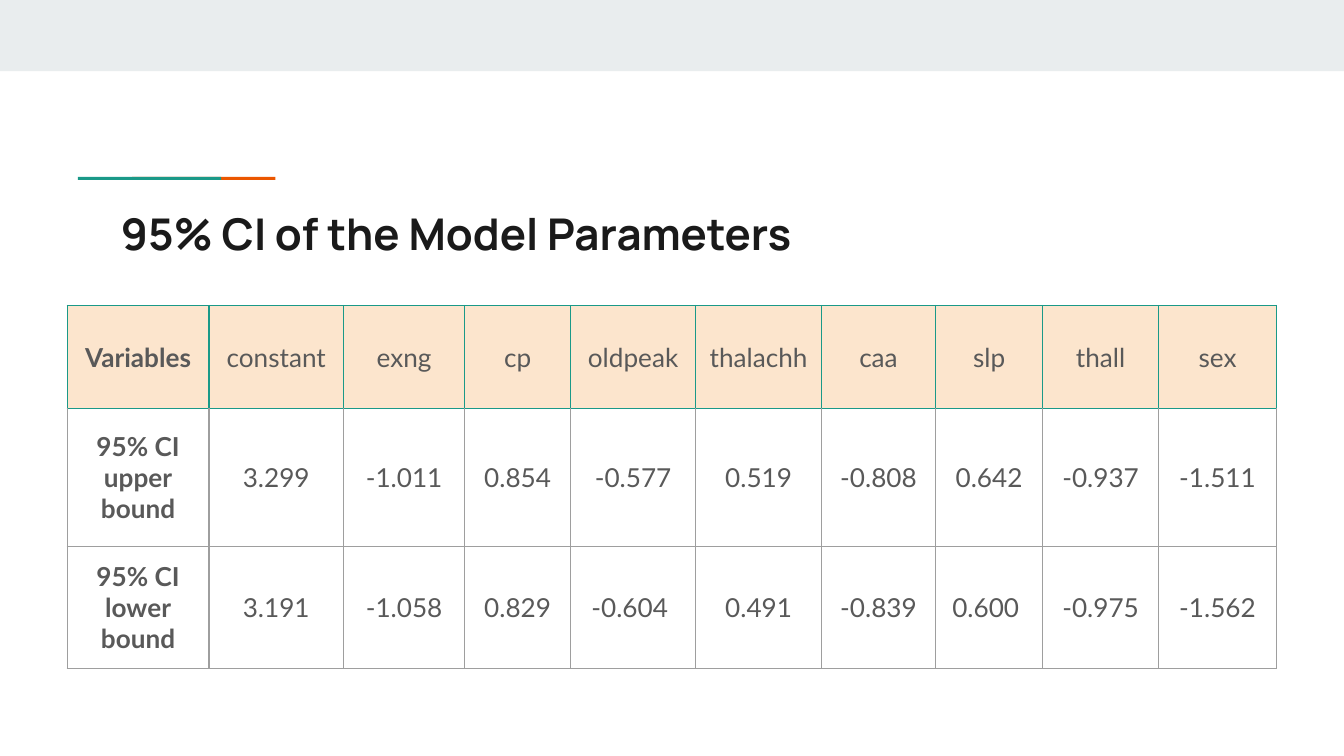
from dataclasses import dataclass
from typing import Any

import pptx
import pptx.dml.color
import pptx.enum.shapes
import pptx.enum.text
import pptx.oxml
import pptx.oxml.ns
import pptx.util

Pt = pptx.util.Pt
RGBColor = pptx.dml.color.RGBColor
PP_ALIGN = pptx.enum.text.PP_ALIGN
MSO_ANCHOR = pptx.enum.text.MSO_ANCHOR

BAND_GREY = RGBColor(0xE9, 0xED, 0xEE)
ORANGE = RGBColor(0xEB, 0x56, 0x00)
TEAL = RGBColor(0x1A, 0x99, 0x88)
TITLE_BLACK = RGBColor(0x1A, 0x1A, 0x1A)
TEXT_GREY = RGBColor(0x59, 0x59, 0x59)
BORDER_GREY = RGBColor(0x9E, 0x9E, 0x9E)
HEADER_PEACH = RGBColor(0xFC, 0xE5, 0xCD)

INSET = Pt(7.2)
MARGINS = {f"margin_{side}": INSET for side in ("left", "top", "right", "bottom")}
TITLE_BOX = {"left": Pt(57.6), "top": Pt(103.7), "width": Pt(605.5), "height": Pt(42.5)}
TITLE_FRAME = {
    **MARGINS,
    "word_wrap": True,
    "auto_size": pptx.enum.text.MSO_AUTO_SIZE.NONE,
    "vertical_anchor": MSO_ANCHOR.MIDDLE,
}
TITLE_FONT = {"name": "Manrope", "size": Pt(23.4), "bold": True}
CELL_FRAME = {**MARGINS, "vertical_anchor": MSO_ANCHOR.MIDDLE}
CELL_FONT = {"name": "Lato", "size": Pt(14)}
PLAIN_TABLE = {"first_row": False, "horz_banding": False}


@dataclass(frozen=True)
class Bar:
    left: float
    top: float
    width: float
    height: float
    color: RGBColor


@dataclass(frozen=True)
class TableRow:
    label: str
    values: list[str]
    height: float
    top_border: RGBColor
    border: RGBColor
    fill: RGBColor | None = None


BARS = [
    Bar(0, 0, 720, 38.2, BAND_GREY),
    Bar(70.8, 94.8, 76.7, 1.6, ORANGE),
    Bar(41.8, 94.8, 76.7, 1.6, TEAL),
]
COLUMN_WIDTHS = [76, 72, 65, 56.7, 67, 67.5, 61, 57.5, 62, 63.3]
ROWS = [
    TableRow(
        "Variables",
        ["constant", "exng", "cp", "oldpeak", "thalachh", "caa", "slp", "thall", "sex"],
        55.2, TEAL, TEAL, HEADER_PEACH,
    ),
    TableRow(
        "95% CI upper\nbound",
        ["3.299", "-1.011", "0.854", "-0.577", "0.519", "-0.808", "0.642", "-0.937", "-1.511"],
        73.8, TEAL, BORDER_GREY,
    ),
    TableRow(
        "95% CI lower\nbound",
        ["3.191", "-1.058", "0.829", "-0.604 ", "0.491", "-0.839", "0.600 ", "-0.975", "-1.562"],
        65.5, BORDER_GREY, BORDER_GREY,
    ),
]


def apply_format(target: Any, values: dict[str, Any]) -> None:
    for name, value in values.items():
        setattr(target, name, value)


def draw_bar(slide: Any, bar: Bar) -> None:
    strip = slide.shapes.add_shape(
        pptx.enum.shapes.MSO_SHAPE.RECTANGLE,
        Pt(bar.left), Pt(bar.top), Pt(bar.width), Pt(bar.height),
    )
    strip.shadow.inherit = False
    strip.fill.solid()
    strip.fill.fore_color.rgb = bar.color
    strip.line.fill.background()


def write_title(slide: Any, wording: str) -> None:
    title = slide.shapes.title
    apply_format(title, TITLE_BOX)
    apply_format(title.text_frame, TITLE_FRAME)
    title.text_frame.text = wording
    heading = title.text_frame.paragraphs[0]
    heading.alignment = PP_ALIGN.LEFT
    apply_format(heading.runs[0].font, TITLE_FONT)
    heading.runs[0].font.color.rgb = TITLE_BLACK


def draw_borders(cell: Any, row: TableRow) -> None:
    properties = cell._tc.get_or_add_tcPr()
    edges = {"lnL": row.border, "lnR": row.border, "lnT": row.top_border, "lnB": row.border}
    for position, (edge, color) in enumerate(edges.items()):
        border = pptx.oxml.parse_xml(
            f'<a:{edge} {pptx.oxml.ns.nsdecls("a")} w="{Pt(0.75)}">'
            f'<a:solidFill><a:srgbClr val="{color}"/></a:solidFill></a:{edge}>'
        )
        properties.insert(position, border)


def fill_cell(cell: Any, wording: str, row: TableRow, bold: bool) -> None:
    apply_format(cell, CELL_FRAME)
    cell.text_frame.text = wording
    for paragraph in cell.text_frame.paragraphs:
        paragraph.alignment = PP_ALIGN.CENTER
        for run in paragraph.runs:
            apply_format(run.font, {**CELL_FONT, "bold": bold})
            run.font.color.rgb = TEXT_GREY
    if row.fill is None:
        cell.fill.background()
    else:
        cell.fill.solid()
        cell.fill.fore_color.rgb = row.fill
    draw_borders(cell, row)


def draw_interval_table(slide: Any, rows: list[TableRow]) -> None:
    intervals = slide.shapes.add_table(
        len(rows), len(COLUMN_WIDTHS), Pt(36), Pt(163.7),
        Pt(sum(COLUMN_WIDTHS)), Pt(sum(row.height for row in rows)),
    ).table
    apply_format(intervals, PLAIN_TABLE)
    for column, width in zip(intervals.columns, COLUMN_WIDTHS):
        column.width = Pt(width)
    for row_index, row in enumerate(rows):
        intervals.rows[row_index].height = Pt(row.height)
        for column_index, wording in enumerate([row.label, *row.values]):
            cell = intervals.cell(row_index, column_index)
            fill_cell(cell, wording, row, bold=column_index == 0)


def main() -> None:
    presentation = pptx.Presentation()
    apply_format(presentation, {"slide_width": Pt(720), "slide_height": Pt(405)})
    slide = presentation.slides.add_slide(presentation.slide_layouts.get_by_name("Title Only"))
    for bar in BARS:
        draw_bar(slide, bar)
    write_title(slide, "95% CI of the Model Parameters")
    draw_interval_table(slide, ROWS)
    presentation.save("out.pptx")


if __name__ == "__main__":
    main()
